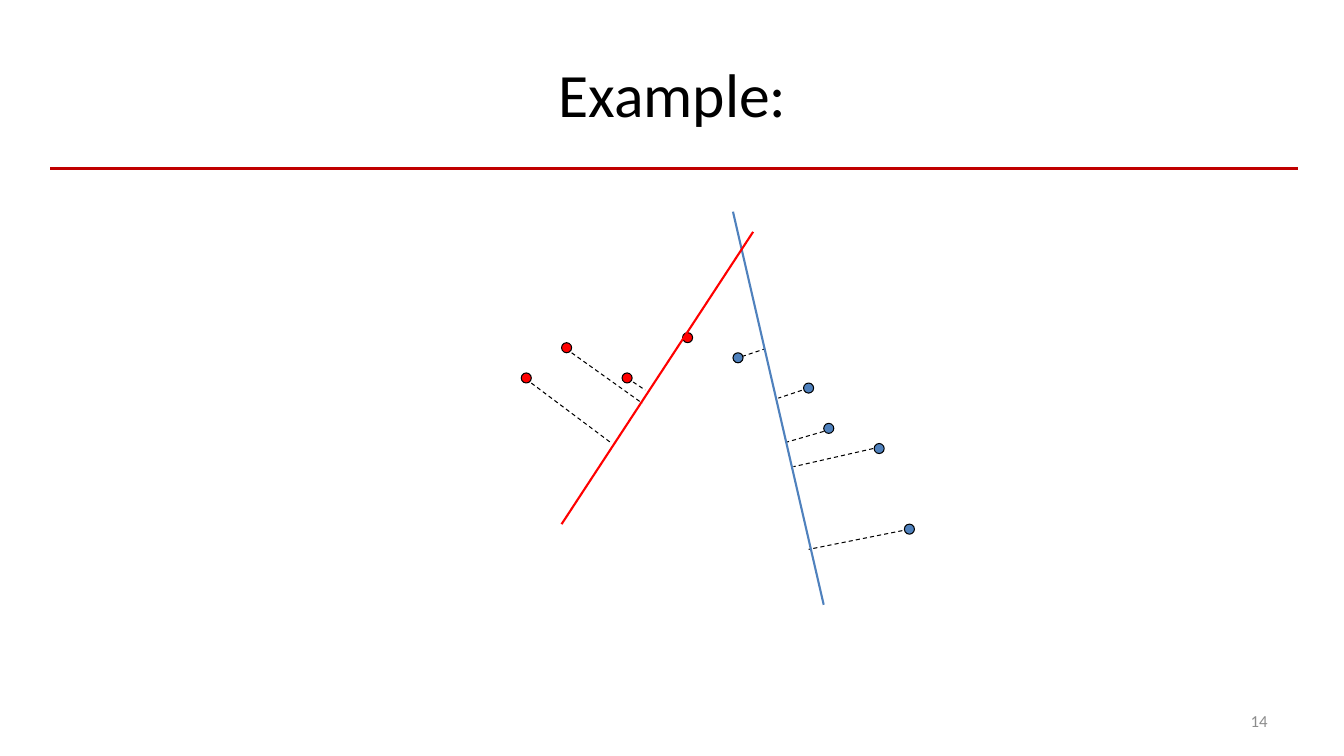
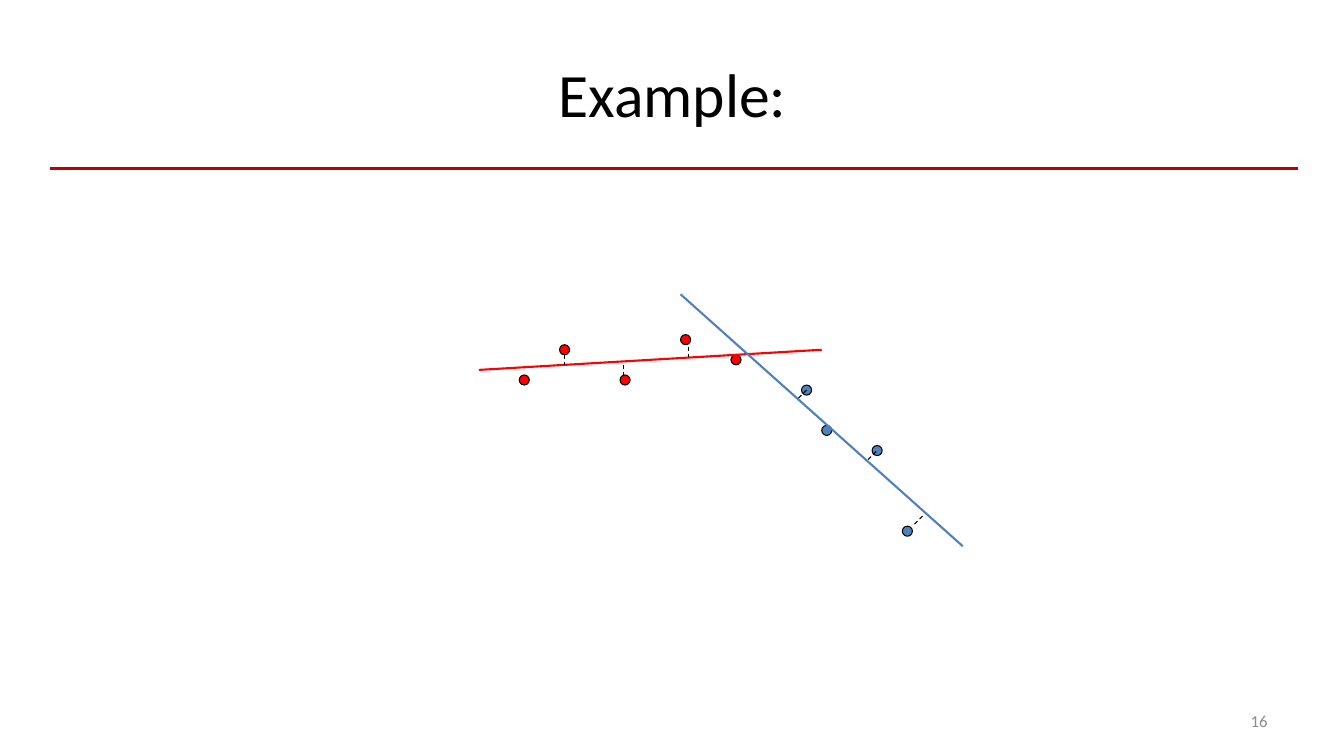
from lxml import etree
from pptx import Presentation
from pptx.dml.color import RGBColor
from pptx.enum.dml import MSO_LINE
from pptx.enum.shapes import MSO_CONNECTOR, MSO_SHAPE
from pptx.enum.text import MSO_ANCHOR, PP_ALIGN
from pptx.oxml.ns import qn
from pptx.util import Inches, Pt

STRAIGHT = MSO_CONNECTOR.STRAIGHT
OVAL = MSO_SHAPE.OVAL
DASH = MSO_LINE.DASH
MIDDLE = MSO_ANCHOR.MIDDLE
CENTER, RIGHT = PP_ALIGN.CENTER, PP_ALIGN.RIGHT

FONT = "Calibri"
BLACK, GREY, RULE_RED = "000000", "8C8C8C", "C00000"
RED, BLUE = "FF0000", "4F81BD"
TITLE_ONLY = 5
DOT_SIZE = 0.1

RED_POINTS = [(5.17, 3.7), (5.57, 3.4), (6.17, 3.7), (6.77, 3.3)]
BLUE_POINTS = [(7.97, 3.8), (8.17, 4.2), (8.67, 4.4), (8.97, 5.2)]
SWITCHING_POINT = (7.27, 3.5)

FIRST_FITS = [
    ((7.27, 2.1), (8.17, 6), BLUE),
    ((7.47, 2.3), (5.57, 5.2), RED),
]
FIRST_DISTANCES = [
    ((5.27, 3.8), (6.07, 4.4)),
    ((5.67, 3.5), (6.37, 4)),
    ((8.02, 3.85), (7.72, 3.95)),
    ((8.17, 4.28), (7.79, 4.39)),
    ((8.66, 4.45), (7.87, 4.63)),
    ((9.02, 5.25), (8.02, 5.45)),
    ((6.22, 3.75), (6.4, 3.87)),
    ((7.29, 3.56), (7.59, 3.46)),
]
SECOND_FITS = [
    ((4.75, 3.67), (8.15, 3.47), RED),
    ((6.75, 2.92), (9.55, 5.42), BLUE),
]
SECOND_DISTANCES = [
    ((5.6, 3.52), (5.6, 3.62)),
    ((6.18, 3.62), (6.18, 3.72)),
    ((6.83, 3.44), (6.83, 3.54)),
    ((9.15, 5.12), (9.05, 5.22)),
    ((8.69, 4.48), (8.59, 4.58)),
    ((8, 3.87), (7.9, 3.97)),
]


def rgb(hex_code):
    return RGBColor.from_string(hex_code)


def place(shape, left, top, width, height):
    shape.left, shape.top = Inches(left), Inches(top)
    shape.width, shape.height = Inches(width), Inches(height)


def write(shape, text, size, color, align):
    frame = shape.text_frame
    frame.word_wrap = True
    frame.vertical_anchor = MIDDLE
    paragraph = frame.paragraphs[0]
    paragraph.alignment = align
    run = paragraph.add_run()
    run.text = text
    run.font.name = FONT
    run.font.size = Pt(size)
    run.font.color.rgb = rgb(color)


def add_line(shapes, start, end, color, width, dash=None):
    points = [Inches(value) for value in (*start, *end)]
    connector = shapes.add_connector(STRAIGHT, *points)
    connector.line.color.rgb = rgb(color)
    connector.line.width = Pt(width)
    if dash is not None:
        connector.line.dash_style = dash
    properties = connector._element.find(qn("p:spPr"))
    etree.SubElement(properties, qn("a:effectLst"))


def add_dots(shapes, points, color, shift):
    for left, top in points:
        dot = shapes.add_shape(
            OVAL, Inches(left - shift), Inches(top + shift),
            Inches(DOT_SIZE), Inches(DOT_SIZE))
        dot.shadow.inherit = False
        dot.fill.solid()
        dot.fill.fore_color.rgb = rgb(color)
        dot.line.color.rgb = rgb(BLACK)
        dot.line.width = Pt(0.75)


def add_clusters(shapes, switching_color, shift=0):
    add_dots(shapes, RED_POINTS, RED, shift)
    add_dots(shapes, BLUE_POINTS, BLUE, shift)
    add_dots(shapes, [SWITCHING_POINT], switching_color, shift)


def add_fits(shapes, fits):
    for start, end, color in fits:
        add_line(shapes, start, end, color, 1.5)


def add_distances(shapes, distances):
    for start, end in distances:
        add_line(shapes, start, end, BLACK, 0.75, DASH)


def add_example_slide(deck, number):
    slide = deck.slides.add_slide(deck.slide_layouts[TITLE_ONLY])
    add_line(slide.shapes, (0.5, 1.67), (12.87, 1.67), RULE_RED, 2)
    title = slide.shapes.title
    place(title, 0.67, 0.3, 12, 1.25)
    write(title, "Example:", 44, BLACK, CENTER)
    page_number = slide.shapes.add_textbox(
        Inches(9.56), Inches(6.95), Inches(3.11), Inches(0.4))
    write(page_number, number, 12, GREY, RIGHT)
    return slide.shapes.add_group_shape().shapes


def main():
    deck = Presentation()
    deck.slide_width, deck.slide_height = Inches(13.33), Inches(7.5)

    diagram = add_example_slide(deck, "14")
    add_distances(diagram, FIRST_DISTANCES)
    add_clusters(diagram, BLUE)
    add_fits(diagram, FIRST_FITS)

    diagram = add_example_slide(deck, "16")
    add_clusters(diagram, RED, shift=0.02)
    add_fits(diagram, SECOND_FITS)
    add_distances(diagram, SECOND_DISTANCES)

    deck.save("out.pptx")


if __name__ == "__main__":
    main()
